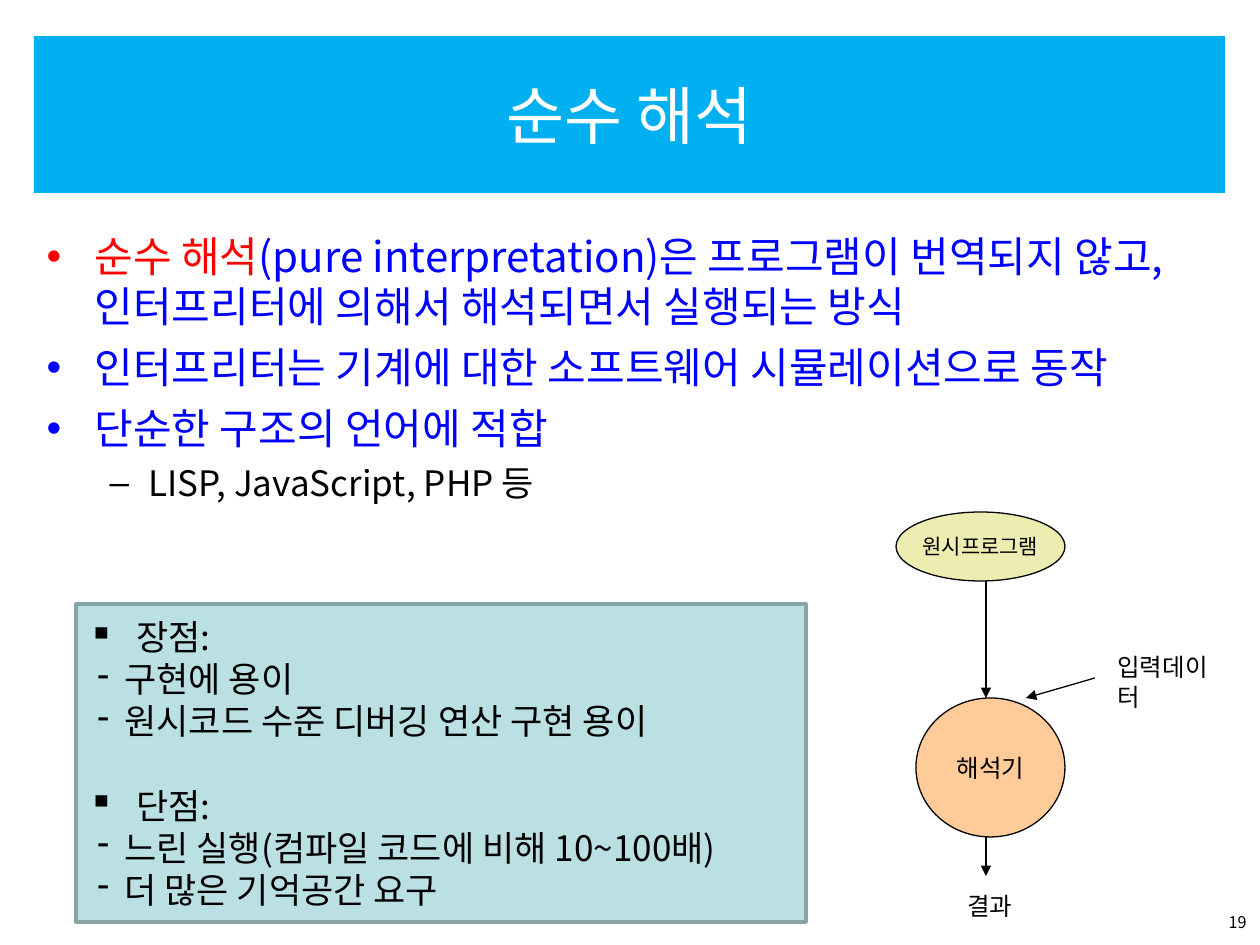
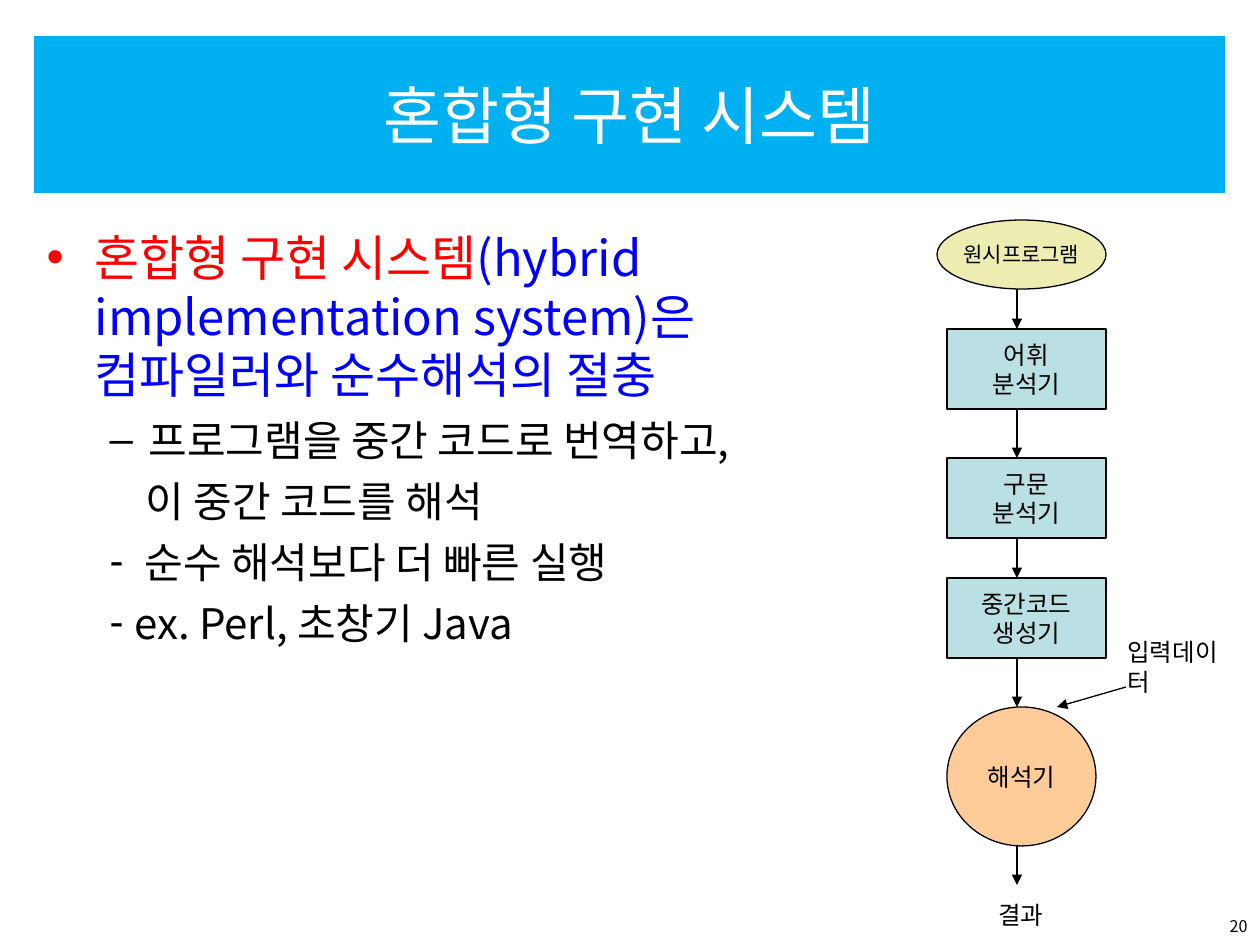
from lxml.etree import SubElement
from pptx import Presentation
from pptx.dml.color import RGBColor as RGB
from pptx.enum.shapes import MSO_CONNECTOR as LINK, MSO_SHAPE as SHAPE
from pptx.enum.text import MSO_ANCHOR as ANCHOR, MSO_AUTO_SIZE as FIT, PP_ALIGN as ALIGN
from pptx.oxml.ns import qn
from pptx.util import Emu, Pt

FONT = "Noto Sans CJK KR"
BLACK = RGB(0x00, 0x00, 0x00)
WHITE = RGB(0xFF, 0xFF, 0xFF)
RED = RGB(0xFF, 0x00, 0x00)
BLUE = RGB(0x00, 0x00, 0xFF)
SKY = RGB(0x00, 0xB0, 0xF0)
TEAL = RGB(0xBB, 0xE0, 0xE3)
EDGE = RGB(0x89, 0xA4, 0xA7)
CREAM = RGB(0xED, 0xEC, 0xB1)
PEACH = RGB(0xFF, 0xCC, 0x99)

SCALE = 914400 / 126
WIDE, HIGH = 1260, 945
BAND = (34, 36, 1191, 157)

DISC = ("•", 48, 48)
SUB = ("–", 102, 39)
HEAD = ("▪", 48, 48)
DASH = ("-", 36, 27)


def px(*nums):
    """Turn pixel lengths into EMU."""
    return [Emu(round(n * SCALE)) for n in nums]


def place(shape, box):
    """Move a shape to a box."""
    shape.left, shape.top, shape.width, shape.height = px(*box)


def ink(run, size, color):
    """Format one run."""
    font = run.font
    font.size, font.name, font.color.rgb = Pt(size), FONT, color
    SubElement(run._r.get_or_add_rPr(), qn("a:ea"), typeface=FONT)


def style(frame, size, color, align):
    """Format every paragraph of a frame alike."""
    for par in frame.paragraphs:
        par.alignment = align
        for run in par.runs:
            ink(run, size, color)


def mark(par, kind, color):
    """Give a paragraph its bullet and hanging indent."""
    sign, left, hang = kind
    props = par._p.get_or_add_pPr()
    left, hang = px(left, hang)
    props.set("marL", str(left))
    props.set("indent", str(-hang))
    if sign:
        tint = SubElement(props, qn("a:buClr"))
        SubElement(tint, qn("a:srgbClr"), val=str(color))
        SubElement(props, qn("a:buChar"), char=sign)
    else:
        SubElement(props, qn("a:buNone"))


def fill(frame, items):
    """Write a list of (kind, size, space before, parts) items."""
    for i, (kind, size, gap, parts) in enumerate(items):
        par = frame.add_paragraph() if i else frame.paragraphs[0]
        par.level = 1 if kind[1] > 80 else 0
        mark(par, kind, parts[0][1])
        par.alignment = ALIGN.LEFT
        par.space_before = Pt(gap if i else 0)
        for text, color in parts:
            run = par.add_run()
            run.text = text
            ink(run, size, color)


def label(slide, box, text, size=14, align=ALIGN.LEFT):
    """Add plain text in a box."""
    frame = slide.shapes.add_textbox(*px(*box)).text_frame
    frame.word_wrap = align == ALIGN.RIGHT
    frame.text = text
    style(frame, size, BLACK, align)


def node(slide, kind, box, color, text="", size=14, edge=BLACK, line=0.75):
    """Add a filled shape with centred text."""
    shape = slide.shapes.add_shape(kind, *px(*box))
    shape.shadow.inherit = False
    shape.fill.solid()
    shape.fill.fore_color.rgb = color
    shape.line.color.rgb, shape.line.width = edge, Pt(line)
    frame = shape.text_frame
    frame.vertical_anchor = ANCHOR.MIDDLE
    frame.word_wrap = not text
    if text:
        frame.text = text
        style(frame, size, BLACK, ALIGN.CENTER)
    return frame


def arrow(slide, *ends):
    """Add an arrow from one point to another."""
    link = slide.shapes.add_connector(LINK.STRAIGHT, *px(*ends))
    link.line.color.rgb, link.line.width = BLACK, Pt(0.75)
    props = link._element.spPr
    SubElement(props.find(qn("a:ln")), qn("a:tailEnd"), type="triangle")
    SubElement(props, qn("a:effectLst"))


def page(deck, title, box, items, num, foot):
    """Start a slide with its title band, list and number."""
    slide = deck.slides.add_slide(deck.slide_layouts[1])
    band, body = slide.placeholders
    place(band, BAND)
    band.fill.solid()
    band.fill.fore_color.rgb = SKY
    band.text_frame.text = title
    band.text_frame.vertical_anchor = ANCHOR.MIDDLE
    style(band.text_frame, 36, WHITE, ALIGN.CENTER)
    place(body, box)
    body.text_frame.auto_size = FIT.NONE
    fill(body.text_frame, items)
    label(slide, foot, num, 9.2, ALIGN.RIGHT)
    return slide


def flow(slide, spot, steps, gaps, shift, side):
    """Draw the run from source to result down from a spot."""
    left, top = spot
    node(slide, SHAPE.OVAL, (left, top, 169, 69), CREAM, "원시프로그램", 12)
    x, y = left + shift, top + 69
    for text, gap in zip(steps + ["해석기"], gaps):
        arrow(slide, x + 70, y, x + 70, y + gap)
        y += gap
        if text in steps:
            node(slide, SHAPE.RECTANGLE, (x, y, 159, 80), TEAL, text)
            y += 80
    node(slide, SHAPE.OVAL, (x, y, 149, 139), PEACH, "해석기")
    arrow(slide, x + 179, y - 20, x + 110, y)
    label(slide, (x + side[0], y + side[1], 137, 43), "입력데이터")
    arrow(slide, x + 70, y + 139, x + 70, y + 178)
    label(slide, (x + 39, y + 187, 71, 43), "결과")


def notes(slide, box, groups):
    """Draw the box of pros and cons."""
    frame = node(slide, SHAPE.RECTANGLE, box, TEAL, edge=EDGE, line=2)
    items = []
    for head, lines in groups:
        items.append((HEAD, 20, 24, [(head, BLACK)]))
        items += [(DASH, 20, 0, [(text, BLACK)]) for text in lines]
    fill(frame, items)


def pure(deck):
    """Build the slide on pure interpretation."""
    items = [
        (DISC, 24, 6, [("순수 해석", RED),
                       ("(pure interpretation)은 프로그램이 번역되지 않고, "
                        "인터프리터에 의해서 해석되면서 실행되는 방식", BLUE)]),
        (DISC, 24, 6, [("인터프리터는 기계에 대한 소프트웨어 시뮬레이션으로 동작", BLUE)]),
        (DISC, 24, 6, [("단순한 구조의 언어에 적합", BLUE)]),
        (SUB, 20, 5, [("LISP, JavaScript, PHP 등", BLACK)]),
    ]
    slide = page(deck, "순수 해석", (34, 224, 1213, 698), items,
                 "19", (965, 906, 294, 35))
    flow(slide, (896, 512), [], [117], 20, (189, -52))
    notes(slide, (76, 604, 730, 318), [
        ("장점:", ["구현에 용이", "원시코드 수준 디버깅 연산 구현 용이"]),
        ("단점:", ["느린 실행(컴파일 코드에 비해 10~100배)", "더 많은 기억공간 요구"]),
    ])


def hybrid(deck):
    """Build the slide on hybrid systems."""
    items = [
        (DISC, 28, 7, [("혼합형 구현 시스템", RED),
                       ("(hybrid implementation system)은 "
                        "컴파일러와 순수해석의 절충", BLUE)]),
        (SUB, 24, 6, [("프로그램을 중간 코드로 번역하고,", BLACK)]),
        (("", 99, 0), 24, 6, [("이 중간 코드를 해석", BLACK)]),
        (("-", 98, 35), 24, 6, [("순수 해석보다 더 빠른 실행", BLACK)]),
        (("-", 88, 25), 24, 6, [("ex. Perl, 초창기 Java", BLACK)]),
    ]
    slide = page(deck, "혼합형 구현 시스템", (34, 221, 879, 698), items,
                 "20", (966, 910, 294, 35))
    flow(slide, (937, 220), ["어휘\n분석기", "구문\n분석기", "중간코드\n생성기"],
         [40, 49] * 2, 10, (168, -76))


def main():
    """Build and save the deck."""
    deck = Presentation()
    deck.slide_width, deck.slide_height = px(WIDE, HIGH)
    pure(deck)
    hybrid(deck)
    deck.save("out.pptx")


if __name__ == "__main__":
    main()
